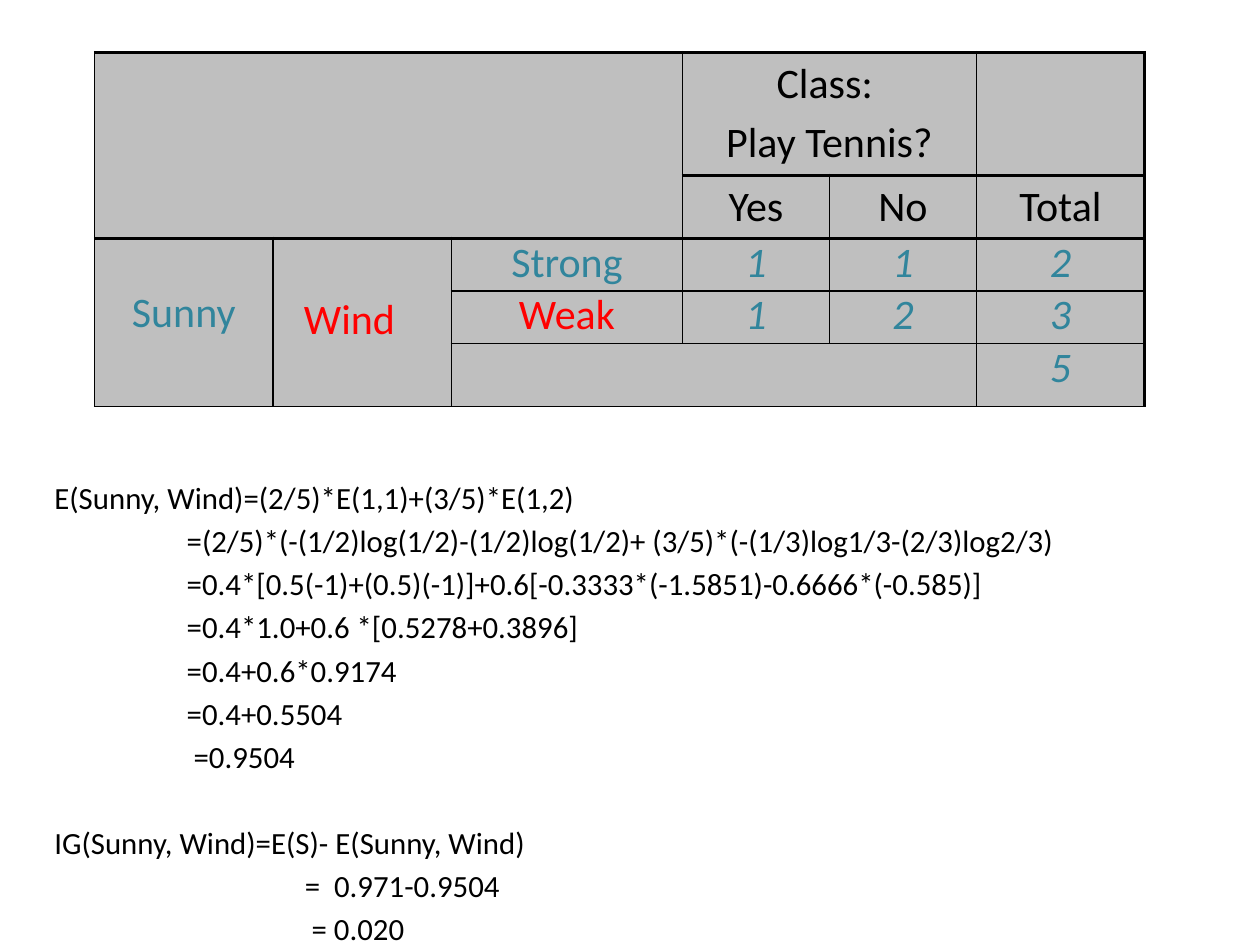
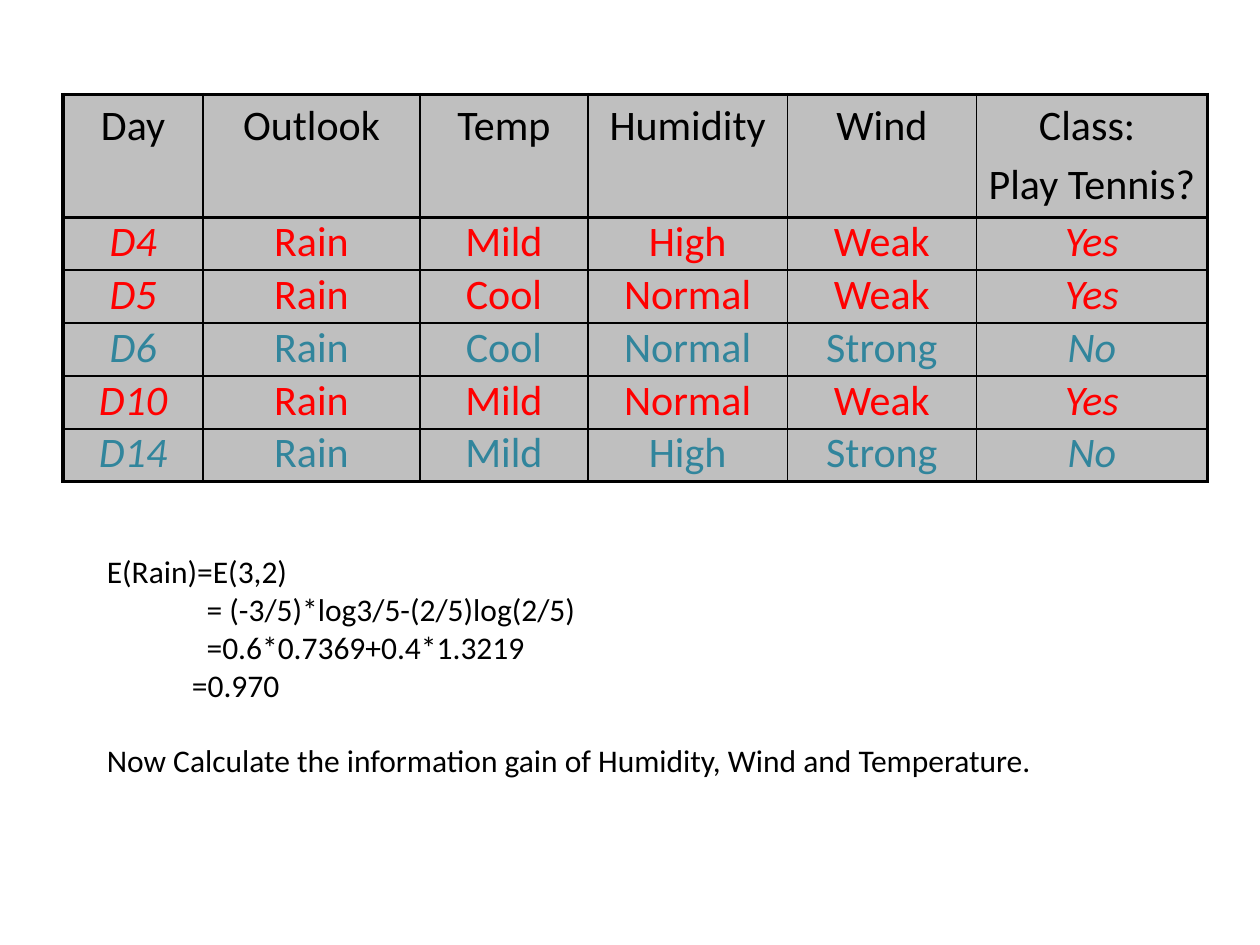
import pptx
import pptx.util
import pptx.dml.color
import pptx.enum.text
import pptx.oxml
import pptx.oxml.ns

BLACK = pptx.dml.color.RGBColor(0x00, 0x00, 0x00)
GREY = pptx.dml.color.RGBColor(0xBF, 0xBF, 0xBF)
TEAL = pptx.dml.color.RGBColor(0x31, 0x85, 0x9C)
RED = pptx.dml.color.RGBColor(0xFF, 0x00, 0x00)
FONT = "Calibri"
CELL_SIZE = 24
THIN, THICK = 1, 2.25
COLUMNS, ROWS = 120, 90
UNIT = pptx.util.Inches(10) // COLUMNS


def grid(n):
    return round(n * UNIT)


def style(p, size, color=BLACK, italic=False):
    p.font.name = FONT
    p.font.size = pptx.util.Pt(size)
    p.font.color.rgb = color
    p.font.italic = italic


def add_border(cell, side, width):
    ln = pptx.oxml.parse_xml(
        f'<a:ln{side} {pptx.oxml.ns.nsdecls("a")} w="{pptx.util.Pt(width)}">'
        f'<a:solidFill><a:srgbClr val="{BLACK}"/></a:solidFill></a:ln{side}>')
    cell._tc.get_or_add_tcPr().append(ln)


def draw_borders(cell, row, col, region, thick_rows, thick_cols):
    top, left, bottom, right = region
    origin = (row, col) == (top, left)
    edges = (("L", left, col, thick_cols), ("R", right, col + 1, thick_cols),
             ("T", top, row, thick_rows), ("B", bottom, row + 1, thick_rows))
    for side, edge, own_edge, thick in edges:
        if origin or edge == own_edge:
            add_border(cell, side, THICK if edge in thick else THIN)


def add_grid_table(s, left, top, widths, heights, thick_rows, thick_cols, merges=()):
    table = s.shapes.add_table(len(heights), len(widths), grid(left), grid(top),
                               grid(sum(widths)), grid(sum(heights))).table
    table.first_row = table.horz_banding = False
    for column, width in zip(table.columns, widths):
        column.width = grid(width)
    for row, height in zip(table.rows, heights):
        row.height = grid(height)
    regions = {}
    for r0, c0, r1, c1 in merges:
        table.cell(r0, c0).merge(table.cell(r1 - 1, c1 - 1))
        for r in range(r0, r1):
            for c in range(c0, c1):
                regions[r, c] = (r0, c0, r1, c1)
    for r in range(len(heights)):
        for c in range(len(widths)):
            cell = table.cell(r, c)
            region = regions.get((r, c), (r, c, r + 1, c + 1))
            draw_borders(cell, r, c, region, thick_rows, thick_cols)
            cell.fill.solid()
            cell.fill.fore_color.rgb = GREY
            cell.margin_left = cell.margin_right = grid(1)
            cell.margin_bottom = grid(0.4)
    return table


def write_cell(cell, text, color=BLACK, italic=False, spacing=None):
    tf = cell.text_frame
    tf.text = text
    for i, p in enumerate(tf.paragraphs):
        style(p, CELL_SIZE, color, italic)
        p.alignment = pptx.enum.text.PP_ALIGN.CENTER
        p.line_spacing = spacing
        if i:
            p.space_before = pptx.util.Pt(4.4)


def write_value(cell, text, color, italic=False):
    write_cell(cell, text, color, italic, 0.8)


def add_working(s, box, lines, size, gap, break_gap):
    tf = s.shapes.add_textbox(*map(grid, box)).text_frame
    tf.word_wrap = True
    for i, (indent, text, starts_block) in enumerate(lines):
        p = tf.paragraphs[0] if i == 0 else tf.add_paragraph()
        p.text = text
        style(p, size)
        p.space_before = pptx.util.Pt(break_gap if starts_block and i else gap if i else 0)
        p._p.get_or_add_pPr().set("marL", str(grid(indent)))


def build_wind_gain(prs):
    s = prs.slides.add_slide(prs.slide_layouts[6])
    table = add_grid_table(
        s, 9, 5, [17, 17, 22, 14, 14, 16], [11.7, 6, 5, 5, 6], {0, 1, 2}, {6},
        [(0, 0, 2, 3), (0, 3, 1, 5), (2, 0, 5, 1), (2, 1, 5, 2), (4, 2, 5, 5)])
    write_cell(table.cell(0, 3), "Class: \nPlay Tennis?")
    for c, text in enumerate(("Yes", "No", "Total"), 3):
        write_cell(table.cell(1, c), text)
    counts = (("Strong", TEAL, "112"), ("Weak", RED, "123"))
    for r, (wind, color, values) in enumerate(counts, 2):
        write_value(table.cell(r, 2), wind, color)
        for c, value in enumerate(values, 3):
            write_value(table.cell(r, c), value, TEAL, True)
    write_value(table.cell(4, 5), "5", TEAL, True)
    sunny, wind = table.cell(2, 0), table.cell(2, 1)
    write_value(sunny, "Sunny", TEAL)
    write_cell(wind, "Wind", RED)
    wind.text_frame.paragraphs[0].alignment = pptx.enum.text.PP_ALIGN.LEFT
    wind.margin_left = grid(2.95)
    sunny.margin_top = wind.margin_top = grid(5.4)
    add_working(s, (4, 45, 113, 42), [
        (0, "E(Sunny, Wind)=(2/5)*E(1,1)+(3/5)*E(1,2)", True),
        (12.6, "=(2/5)*(-(1/2)log(1/2)-(1/2)log(1/2)+ (3/5)*(-(1/3)log1/3-(2/3)log2/3)", False),
        (12.6, "=0.4*[0.5(-1)+(0.5)(-1)]+0.6[-0.3333*(-1.5851)-0.6666*(-0.585)]", False),
        (12.6, "=0.4*1.0+0.6 *[0.5278+0.3896]", False),
        (12.6, "=0.4+0.6*0.9174", False),
        (12.6, "=0.4+0.5504", False),
        (13.25, "=0.9504", False),
        (0, "IG(Sunny, Wind)=E(S)- E(Sunny, Wind)", True),
        (23.85, "=  0.971-0.9504", False),
        (24.5, "= 0.020", False),
    ], 17.6, 3.55, 28)


def build_rain_entropy(prs):
    s = prs.slides.add_slide(prs.slide_layouts[6])
    table = add_grid_table(s, 6, 9, [13.35, 20.65, 16, 19, 18, 22],
                           [11.7] + [5.04] * 5, {0, 1, 6}, {0, 6})
    headings = ("Day", "Outlook", "Temp", "Humidity", "Wind", "Class: \nPlay Tennis?")
    for c, text in enumerate(headings):
        write_cell(table.cell(0, c), text)
    days = (
        ("D4", "Rain", "Mild", "High", "Weak", "Yes"),
        ("D5", "Rain", "Cool", "Normal", "Weak", "Yes"),
        ("D6", "Rain", "Cool", "Normal", "Strong", "No"),
        ("D10", "Rain", "Mild", "Normal", "Weak", "Yes"),
        ("D14", "Rain", "Mild", "High", "Strong", "No"),
    )
    for r, day in enumerate(days, 1):
        color = RED if day[-1] == "Yes" else TEAL
        for c, text in enumerate(day):
            write_value(table.cell(r, c), text, color, c in (0, 5))
    add_working(s, (9, 52, 103, 26.6), [
        (0, "E(Rain)=E(3,2)", True),
        (9.5, "= (-3/5)*log3/5-(2/5)log(2/5)", False),
        (9.5, "=0.6*0.7369+0.4*1.3219", False),
        (8.1, "=0.970", False),
        (0, "Now Calculate the information gain of Humidity, Wind and Temperature.", True),
    ], 18, 0, 21.6)


def main():
    prs = pptx.Presentation()
    prs.slide_width = grid(COLUMNS)
    prs.slide_height = grid(ROWS)
    build_wind_gain(prs)
    build_rain_entropy(prs)
    prs.save("out.pptx")


if __name__ == "__main__":
    main()
